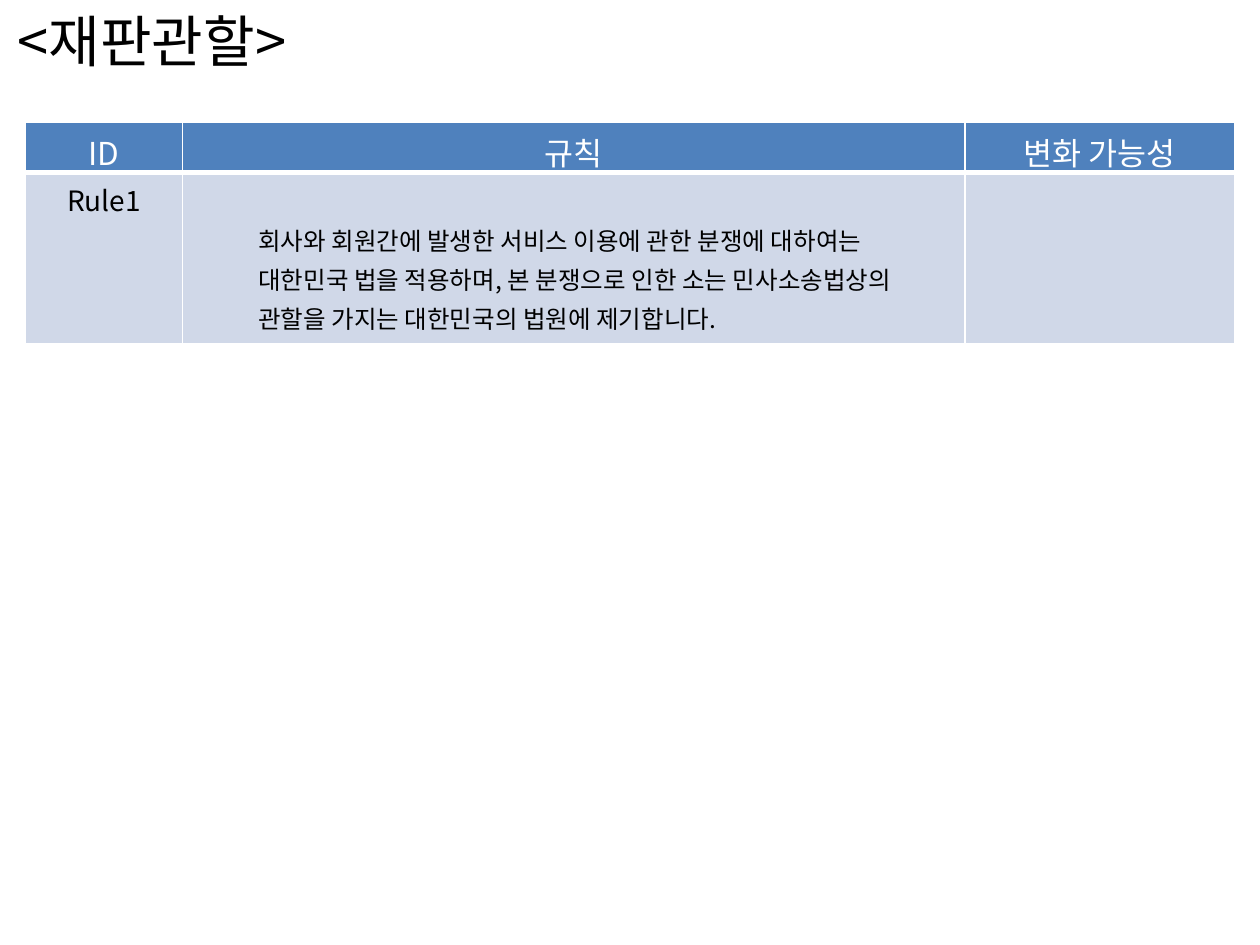
from dataclasses import dataclass

from lxml.etree import SubElement
from pptx import Presentation
from pptx.dml.color import RGBColor
from pptx.enum.text import MSO_ANCHOR as Anchor, MSO_AUTO_SIZE as AutoSize, PP_ALIGN as Align
from pptx.oxml.ns import qn
from pptx.util import Inches, Pt


@dataclass(frozen=True)
class Theme:
    """Colours, font and type sizes of the slide."""
    font: str = "Noto Sans CJK KR"
    dark: str = "000000"
    light: str = "FFFFFF"
    header_fill: str = "4F81BD"
    body_fill: str = "D0D8E8"
    title: int = 32
    header: int = 18
    rule_id: int = 16
    rule: int = 14


@dataclass(frozen=True)
class Cell:
    """Text and format of one table cell."""
    text: str
    size: int
    align: Align = Align.CENTER
    indent: float = 0
    spacing: float = 1.0
    top: float = 0.05


T = Theme()
COLS = (1.25, 6.21, 2.14)
ROWS = (0.39, 1.36)
HEADERS = ("ID", "규칙", "변화 가능성")
RULE = ("회사와 회원간에 발생한 서비스 이용에 관한 분쟁에 대하여는 대한민국 법을 적용하며, "
        "본 분쟁으로 인한 소는 민사소송법상의 관할을 가지는 대한민국의 법원에 제기합니다.")
CELLS = (
    tuple(Cell(h, T.header) for h in HEADERS),
    (Cell("Rule1", T.rule_id),
     Cell(RULE, T.rule, Align.LEFT, indent=0.5, spacing=1.1, top=0.36),
     Cell("", T.rule)),
)


def put_text(tf, text: str, *, size: int, color: str = T.dark, align=Align.LEFT,
             indent: float = 0, spacing: float = 1.0) -> None:
    """Write one formatted paragraph into a text frame."""
    p = tf.paragraphs[0]
    p.alignment, p.line_spacing = align, spacing
    if indent:
        pPr = p._p.get_or_add_pPr()
        pPr.set("marL", str(Inches(indent)))
        pPr.set("indent", "0")
    if not text:
        p.font.size = Pt(size)
        return
    r = p.add_run()
    r.text = text
    r.font.size, r.font.name = Pt(size), T.font
    r.font.color.rgb = RGBColor.from_string(color)
    SubElement(r._r.get_or_add_rPr(), qn("a:ea"), typeface=T.font)


def set_borders(cell, bottom: float) -> None:
    """Give a cell white borders, with its own bottom width in points."""
    tcPr = cell._tc.get_or_add_tcPr()
    for i, (side, width) in enumerate((("L", 1), ("R", 1), ("T", 1), ("B", bottom))):
        ln = tcPr.makeelement(qn(f"a:ln{side}"), {"w": str(Pt(width))})
        fill = SubElement(ln, qn("a:solidFill"))
        SubElement(fill, qn("a:srgbClr"), val=T.light)
        tcPr.insert(i, ln)


def add_title(s, text: str) -> None:
    """Place the heading in the title placeholder."""
    sp = s.shapes.title
    sp.left, sp.top, sp.width, sp.height = map(Inches, (0.04, 0, 2.62, 0.64))
    tf = sp.text_frame
    tf.word_wrap, tf.auto_size = False, AutoSize.SHAPE_TO_FIT_TEXT
    tf.vertical_anchor = Anchor.TOP
    put_text(tf, text, size=T.title)


def add_rules(s) -> None:
    """Draw the table of rules."""
    table = s.shapes.add_table(len(ROWS), len(COLS), Inches(0.2), Inches(0.97),
                               Inches(sum(COLS)), Inches(sum(ROWS))).table
    for col, width in zip(table.columns, COLS):
        col.width = Inches(width)
    for i, (row, height) in enumerate(zip(table.rows, ROWS)):
        row.height = Inches(height)
        head = i == 0
        for cell, c in zip(row.cells, CELLS[i]):
            cell.fill.solid()
            cell.fill.fore_color.rgb = RGBColor.from_string(T.header_fill if head else T.body_fill)
            cell.vertical_anchor = Anchor.MIDDLE if head else Anchor.TOP
            cell.margin_top = Inches(c.top)
            set_borders(cell, 3 if head else 1)
            put_text(cell.text_frame, c.text, size=c.size, color=T.light if head else T.dark,
                     align=c.align, indent=c.indent, spacing=c.spacing)


def main() -> None:
    """Build and save the slide."""
    prs = Presentation()
    prs.slide_width, prs.slide_height = Inches(10), Inches(7.5)
    s = prs.slides.add_slide(prs.slide_layouts[5])
    add_title(s, "<재판관할>")
    add_rules(s)
    prs.save("out.pptx")


main()
